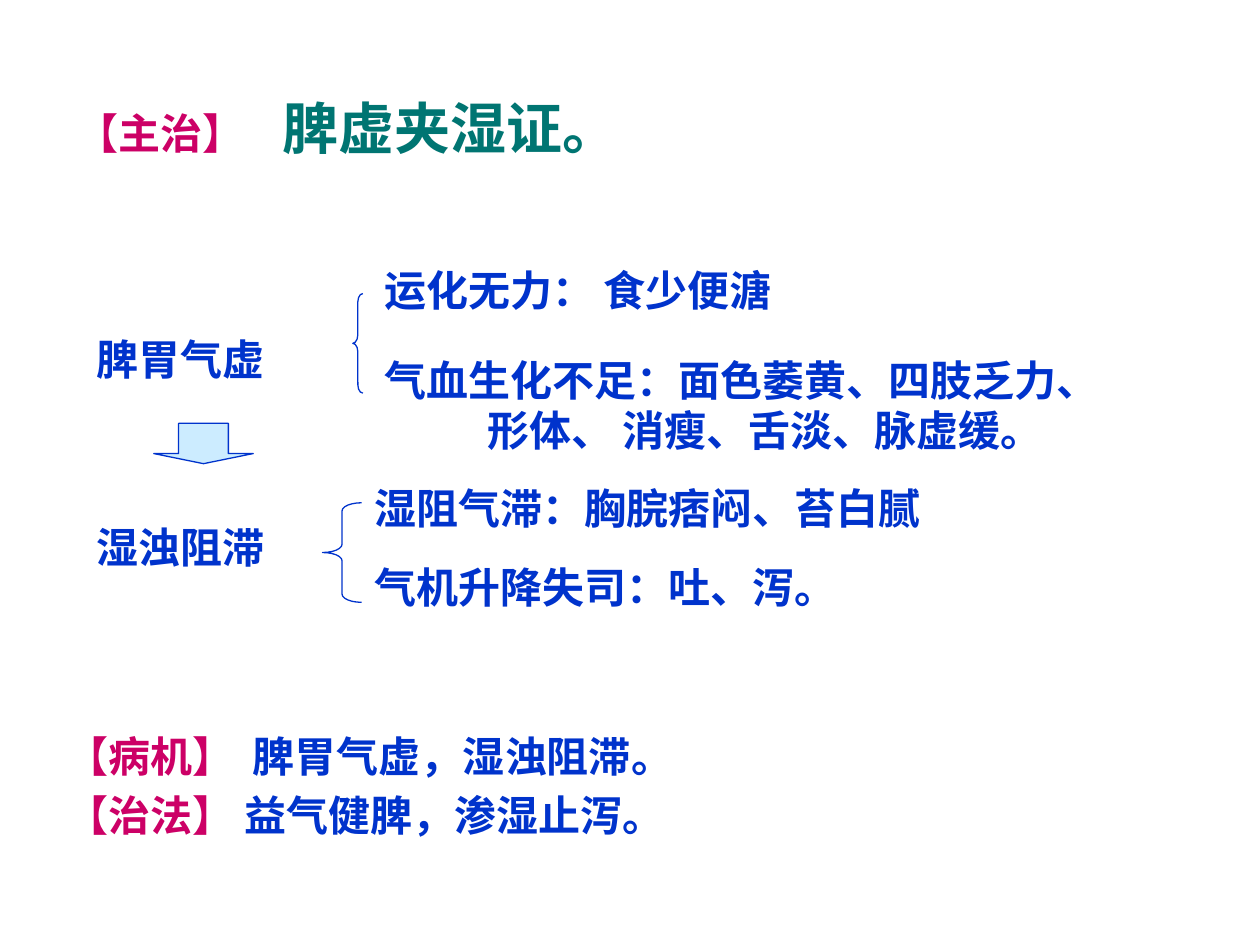
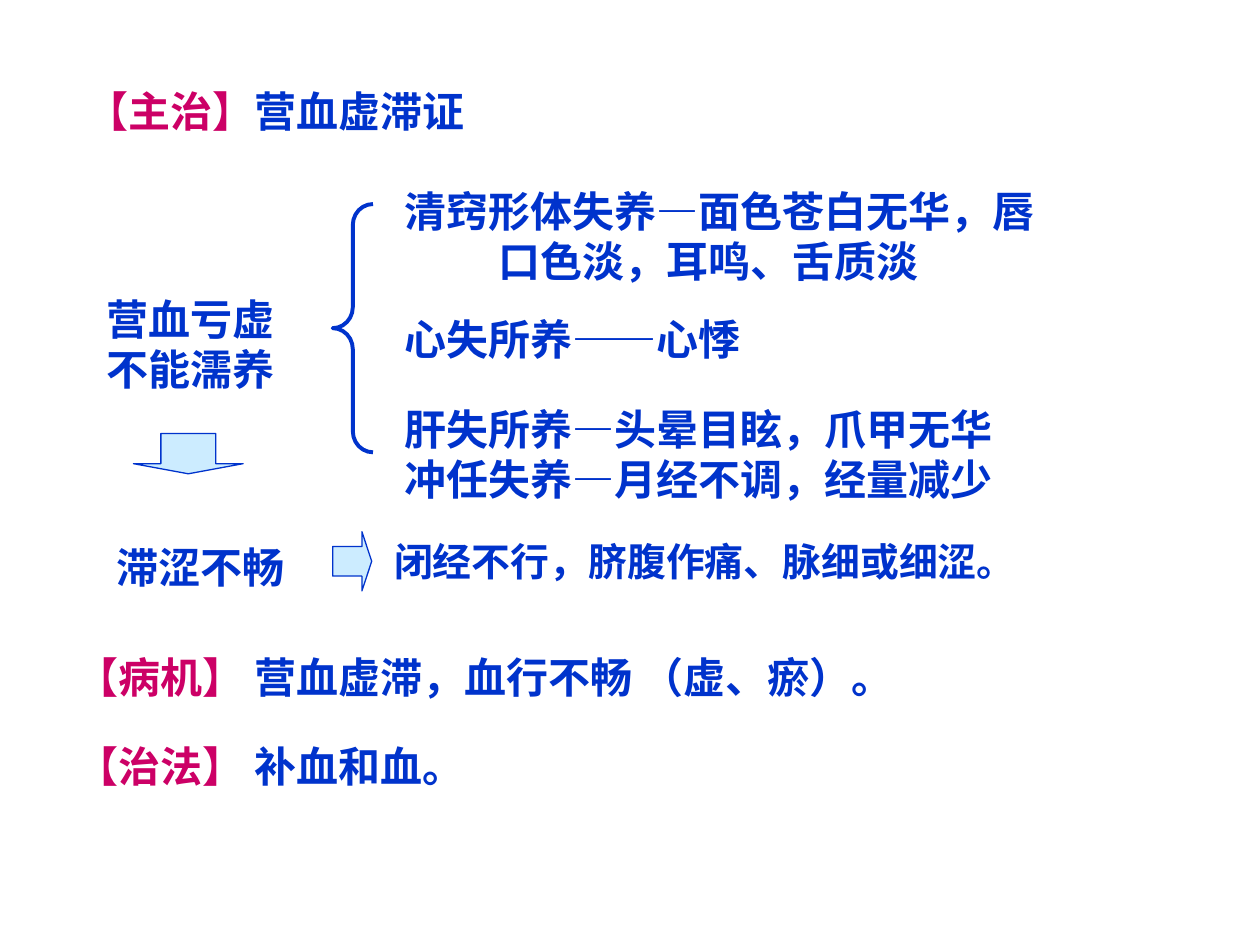
from lxml.etree import SubElement
from pptx import Presentation
from pptx.dml.color import RGBColor
from pptx.enum.shapes import MSO_SHAPE as Shape
from pptx.oxml.ns import qn
from pptx.util import Inches, Pt

BLUE = RGBColor(0x00, 0x33, 0xCC)
MAGENTA = RGBColor(0xCC, 0x00, 0x66)
TEAL = RGBColor(0x00, 0x75, 0x72)
PALE_BLUE = RGBColor(0xCC, 0xEC, 0xFF)
LATIN_FONT = "Arial"
CHINESE_FONT = "Noto Sans CJK SC"
BODY_SIZE = 24
LINE_FACTOR = 1.2


class DiagramDeck:
    """Builds syndrome diagrams in one shared style."""

    def __init__(self):
        self.presentation = Presentation()
        self.presentation.slide_width = Inches(10)
        self.presentation.slide_height = Inches(7.5)
        self.slide = None

    def new_slide(self):
        self.slide = self.presentation.slides.add_slide(self.presentation.slide_layouts[6])

    def frame(self, left, top, width, height):
        box = self.slide.shapes.add_textbox(
            Inches(left), Inches(top), Inches(width), Inches(height))
        box.text_frame.word_wrap = True
        box.text_frame.margin_top = Inches(0.08)
        return box.text_frame

    def run(self, paragraph, text, color=BLUE, size=BODY_SIZE, font=LATIN_FONT):
        run = paragraph.add_run()
        run.text = text
        run.font.name = font
        run.font.size = Pt(size)
        run.font.bold = True
        run.font.color.rgb = color
        SubElement(run.font._element, qn("a:ea"), typeface=CHINESE_FONT)

    def text(self, left, top, width, *lines, size=BODY_SIZE, font=LATIN_FONT, second_indent=0):
        frame = self.frame(left, top, width, 0.1 + 0.4 * len(lines))
        for index, line in enumerate(lines):
            paragraph = frame.add_paragraph() if index else frame.paragraphs[0]
            paragraph.line_spacing = Pt(size * LINE_FACTOR)
            if index and second_indent:
                paragraph._p.get_or_add_pPr().set("marL", str(Inches(second_indent)))
            self.run(paragraph, line, size=size, font=font)

    def labelled(self, left, top, width, label, text, tab=None, size=BODY_SIZE,
                 color=BLUE, font=LATIN_FONT):
        paragraph = self.frame(left, top, width, 0.1 + size / 60).paragraphs[0]
        paragraph.line_spacing = Pt(size * LINE_FACTOR)
        if tab:
            tabs = SubElement(paragraph._p.get_or_add_pPr(), qn("a:tabLst"))
            SubElement(tabs, qn("a:tab"), pos=str(Inches(tab)), algn="l")
            label += "\t"
        self.run(paragraph, label, MAGENTA)
        self.run(paragraph, text, color, size, font)

    def outline(self, kind, left, top, width, height, adjustments, weight=0.75):
        shape = self.slide.shapes.add_shape(
            kind, Inches(left), Inches(top), Inches(width), Inches(height))
        shape.shadow.inherit = False
        shape.fill.background()
        shape.line.color.rgb = BLUE
        shape.line.width = Pt(weight)
        for index, value in enumerate(adjustments):
            shape.adjustments[index] = value
        return shape

    def brace(self, left, top, width, height, curve, weight=0.75):
        self.outline(Shape.LEFT_BRACE, left, top, width, height, (curve, 0.5), weight)

    def arrow(self, kind, left, top, width, height):
        shape = self.outline(kind, left, top, width, height, (0.5, 0.25))
        shape.fill.solid()
        shape.fill.fore_color.rgb = PALE_BLUE


def spleen_dampness(deck):
    deck.new_slide()
    deck.labelled(0.51, 0.66, 7.68, "【主治】", "脾虚夹湿证。", tab=1.63, size=32,
                  color=TEAL, font=CHINESE_FONT)
    deck.text(2.95, 2.02, 4.26, "运化无力： 食少便溏")
    deck.text(0.67, 2.57, 2.2, "脾胃气虚")
    deck.text(2.95, 2.73, 6.69, "气血生化不足：面色萎黄、四肢乏力、",
              "形体、 消瘦、舌淡、脉虚缓。", font=CHINESE_FONT, second_indent=0.82)
    deck.text(0.67, 4.06, 1.89, "湿浊阻滞")
    deck.text(2.87, 3.75, 5.75, "湿阻气滞：胸脘痞闷、苔白腻")
    deck.text(2.87, 4.38, 5.75, "气机升降失司：吐、泻。")
    deck.brace(2.8, 2.33, 0.08, 0.79, 0.83)
    deck.brace(2.56, 3.99, 0.31, 0.79, 0.21)
    deck.arrow(Shape.DOWN_ARROW, 1.22, 3.36, 0.79, 0.32)
    deck.labelled(0.43, 5.72, 6.46, "【病机】", "脾胃气虚，湿浊阻滞。", tab=1.48)
    deck.labelled(0.43, 6.19, 7.01, "【治法】 ", "益气健脾，渗湿止泻。")


def blood_deficiency(deck):
    deck.new_slide()
    deck.text(3.03, 4.19, 6.06, "闭经不行，脐腹作痛、脉细或细涩。", size=22.2, font=CHINESE_FONT)
    deck.brace(2.64, 1.62, 0.32, 1.97, 0.52, weight=2.25)
    deck.labelled(0.59, 0.6, 4.25, "【主治】", "营血虚滞证")
    deck.text(3.11, 1.39, 6.3, "清窍形体失养—面色苍白无华，唇",
              "口色淡，耳鸣、舌质淡", font=CHINESE_FONT, second_indent=0.75)
    deck.text(3.11, 2.41, 5.43, "心失所养——心悸")
    deck.text(3.11, 3.12, 5.98, "肝失所养—头晕目眩，爪甲无华",
              "冲任失养—月经不调，经量减少", font=CHINESE_FONT)
    deck.text(0.75, 2.25, 1.89, "营血亏虚", "不能濡养", font=CHINESE_FONT)
    deck.text(0.83, 4.22, 1.97, "滞涩不畅")
    deck.labelled(0.51, 5.09, 8.58, "【病机】 ", "营血虚滞，血行不畅 （虚、瘀）。", font=CHINESE_FONT)
    deck.labelled(0.51, 5.8, 5.51, "【治法】 ", "补血和血。")
    deck.arrow(Shape.DOWN_ARROW, 1.06, 3.44, 0.87, 0.32)
    deck.arrow(Shape.RIGHT_ARROW, 2.64, 4.22, 0.31, 0.47)


def main():
    deck = DiagramDeck()
    spleen_dampness(deck)
    blood_deficiency(deck)
    deck.presentation.save("out.pptx")


if __name__ == "__main__":
    main()
